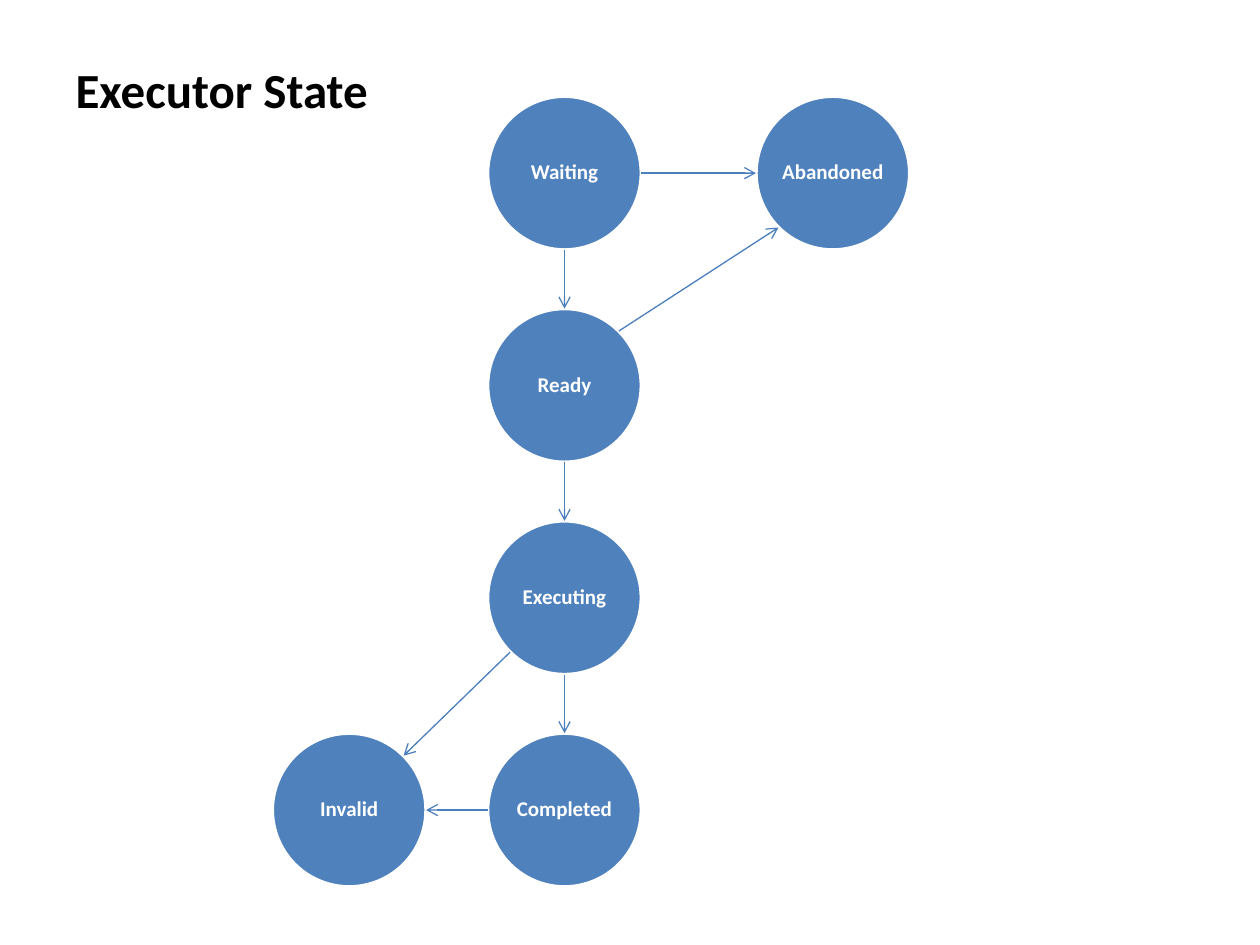
"""Build the executor state diagram slide."""
from dataclasses import dataclass
from enum import IntEnum
from math import cos, radians, sin

from lxml.etree import SubElement
from pptx import Presentation
from pptx.dml.color import RGBColor
from pptx.enum.shapes import MSO_CONNECTOR as Link, MSO_SHAPE as Preset
from pptx.enum.text import MSO_ANCHOR as Anchor, MSO_AUTO_SIZE as Fit, PP_ALIGN as Align
from pptx.oxml.ns import qn
from pptx.util import Cm, Pt

DIAMETER, TOP, ROW_PITCH = 3.1, 1.94, 4.28
INVALID_X, MAIN_X, ABANDONED_X = 5.49, 9.83, 15.24
STATE_FILL, ARROW_COLOR, WHITE, BLACK = "4F81BD", "4B7EBC", "FFFFFF", "000000"


class Site(IntEnum):
    """Connection sites of an ellipse, counter-clockwise from the top."""
    TOP, TOP_LEFT, LEFT, BOTTOM_LEFT, BOTTOM, BOTTOM_RIGHT, RIGHT, TOP_RIGHT = range(8)


@dataclass(frozen=True)
class State:
    """A state circle placed by its left edge and row."""
    label: str
    left: float
    row: int

    @property
    def top(self) -> float:
        """Return the top edge in centimetres."""
        return TOP + self.row * ROW_PITCH

    def point(self, site: Site) -> tuple:
        """Return the position of a connection site."""
        angle, radius = radians(90 + 45 * site), DIAMETER / 2
        return (Cm(self.left + radius + radius * cos(angle)),
                Cm(self.top + radius - radius * sin(angle)))


@dataclass(frozen=True)
class Transition:
    """An arrow between the sites of two states."""
    source: str
                    
    leave: Site
    target: str
    enter: Site


STATES = [
    State("Waiting", MAIN_X, 0),
    State("Abandoned", ABANDONED_X, 0),
    State("Ready", MAIN_X, 1),
    State("Executing", MAIN_X, 2),
    State("Completed", MAIN_X, 3),
    State("Invalid", INVALID_X, 3),
]
TRANSITIONS = [
    Transition("Waiting", Site.RIGHT, "Abandoned", Site.LEFT),
    Transition("Waiting", Site.BOTTOM, "Ready", Site.TOP),
    Transition("Ready", Site.BOTTOM, "Executing", Site.TOP),
    Transition("Executing", Site.BOTTOM, "Completed", Site.TOP),
    Transition("Completed", Site.LEFT, "Invalid", Site.RIGHT),
    Transition("Executing", Site.BOTTOM_LEFT, "Invalid", Site.TOP_RIGHT),
    Transition("Ready", Site.TOP_RIGHT, "Abandoned", Site.BOTTOM_LEFT),
]


def color(value: str) -> RGBColor:
    """Turn a hex string into a colour."""
    return RGBColor.from_string(value)


def apply(target, values: dict) -> None:
    """Set every named attribute on the target."""
    for name, value in values.items():
        setattr(target, name, value)


def write(shape, text: str, ink: str, font: dict, frame: dict, paragraph: dict) -> None:
    """Write one formatted paragraph into a shape."""
    shape.text_frame.text = text
    line = shape.text_frame.paragraphs[0]
    apply(shape.text_frame, frame)
    apply(line, paragraph)
    apply(line.runs[0].font, {"name": "Calibri", "bold": True, **font})
    line.runs[0].font.color.rgb = color(ink)


def draw_title(slide, text: str) -> None:
    """Place and format the title placeholder."""
    title = slide.shapes.title
    apply(title, {"left": Cm(1.27), "top": Cm(1.07), "width": Cm(6.48), "height": Cm(1.45)})
    write(title, text, BLACK, {"size": Pt(28)},
          {"word_wrap": False, "auto_size": Fit.SHAPE_TO_FIT_TEXT,
           "vertical_anchor": Anchor.TOP},
          {"alignment": Align.LEFT})


def draw_state(slide, state: State):
    """Draw a labelled state circle."""
    circle = slide.shapes.add_shape(
        Preset.OVAL, Cm(state.left), Cm(state.top), Cm(DIAMETER), Cm(DIAMETER))
    circle.shadow.inherit = False
    circle.fill.solid()
    circle.fill.fore_color.rgb = color(STATE_FILL)
    circle.line.color.rgb = color(WHITE)
    circle.line.width = Pt(2)
    margins = dict.fromkeys(
        ("margin_left", "margin_right", "margin_top", "margin_bottom"), Cm(0.08))
    write(circle, state.label, WHITE, {"size": Pt(12)},
          {"word_wrap": False, "vertical_anchor": Anchor.MIDDLE, **margins},
          {"alignment": Align.CENTER, "line_spacing": 0.9})
    return circle


def draw_transition(slide, step: Transition, states: dict, circles: dict) -> None:
    """Draw an arrow attached to its two states."""
    arrow = slide.shapes.add_connector(
        Link.STRAIGHT,
        *states[step.source].point(step.leave), *states[step.target].point(step.enter))
    arrow.line.color.rgb = color(ARROW_COLOR)
    arrow.line.width = Pt(0.75)
    SubElement(arrow.line._get_or_add_ln(), qn("a:tailEnd"), type="arrow")
    SubElement(arrow._element.spPr, qn("a:effectLst"))
    glue = arrow._element.find(".//" + qn("p:cNvCxnSpPr"))
    for tag, label, site in (("a:stCxn", step.source, step.leave),
                             ("a:endCxn", step.target, step.enter)):
        SubElement(glue, qn(tag), id=str(circles[label].shape_id), idx=str(site.value))


def main() -> None:
    """Build and save the slide."""
    deck = Presentation()
    apply(deck, {"slide_width": Cm(25.4), "slide_height": Cm(19.05)})
    slide = deck.slides.add_slide(deck.slide_layouts[5])
    draw_title(slide, "Executor State")
    states = {state.label: state for state in STATES}
    circles = {state.label: draw_state(slide, state) for state in STATES}
    for step in TRANSITIONS:
        draw_transition(slide, step, states, circles)
    deck.save("out.pptx")


main()
